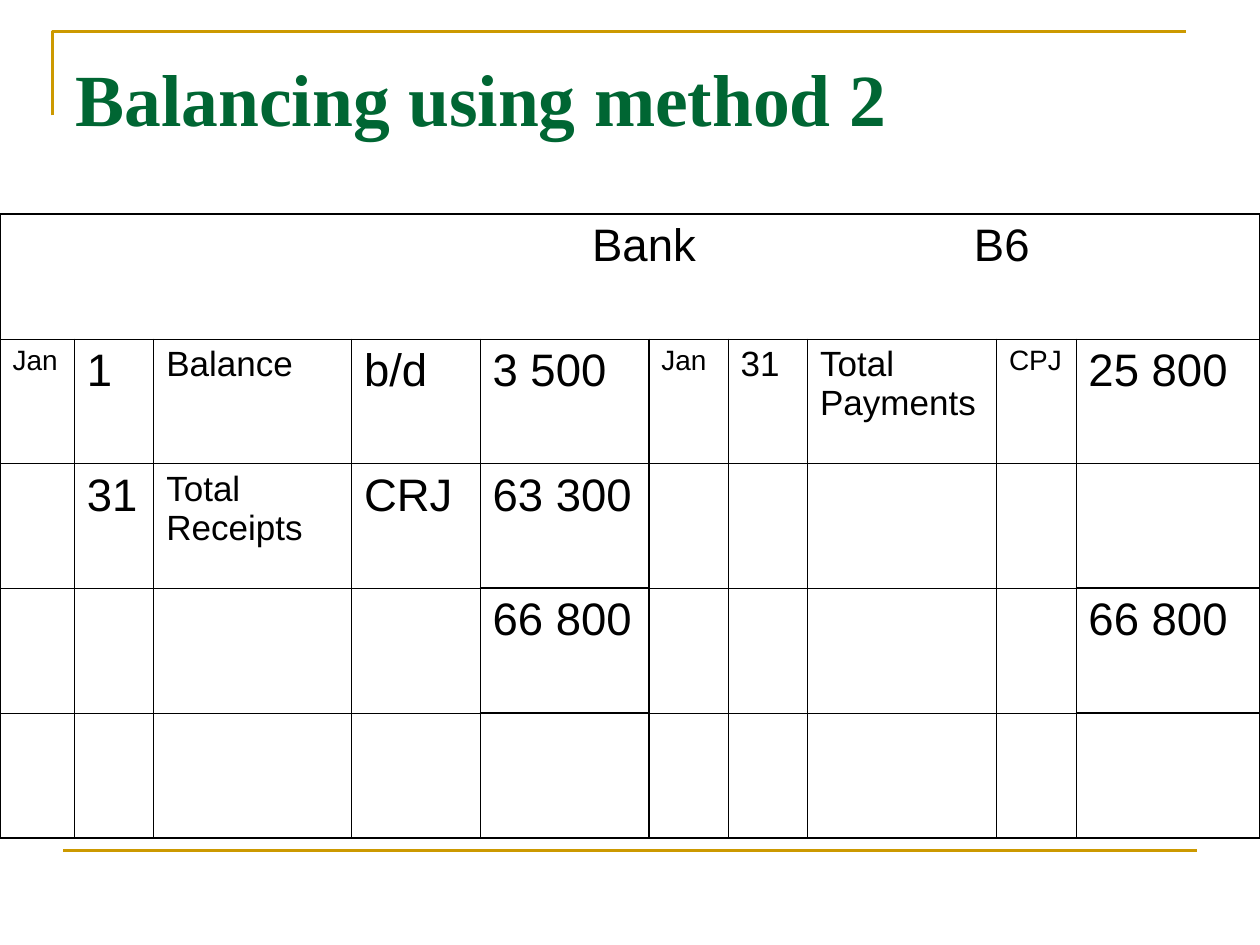
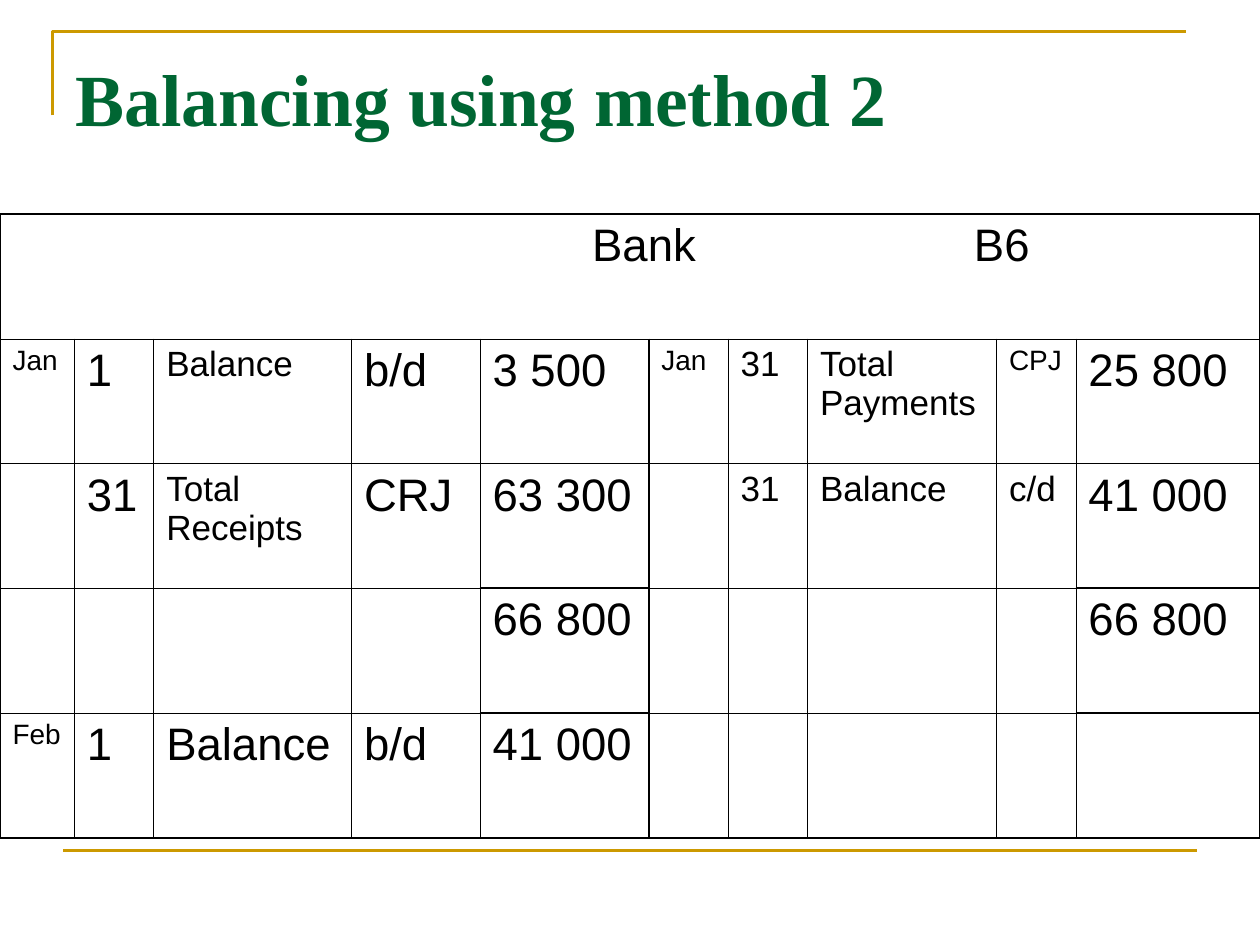
from lxml.etree import SubElement
from pptx import Presentation
from pptx.dml.color import RGBColor
from pptx.enum.shapes import MSO_CONNECTOR as Connector
from pptx.enum.text import MSO_ANCHOR as Anchor
from pptx.oxml.ns import qn
from pptx.util import Emu, Inches, Pt

# Grid: 120 columns by 90 rows over the whole slide
COLUMNS, ROWS = 120, 90
GOLD, GREEN, BLACK, WHITE = "CC9900", "006633", "000000", "FFFFFF"
SERIF, SANS = "Times New Roman", "Arial"
SMALL, MEDIUM, LARGE = 16, 20, 26
THIN, RULE, DIVIDER = 0.45, 1.08, 1.47

# Ledger layout: column shares in percent, debit side then credit side
COLUMN_SHARES = [5.9, 6.3, 15.7, 10.2, 13.4, 6.3, 6.3, 15, 6.3, 14.6]
ROW_COUNT = 5
AMOUNT_COLUMNS = (4, 9)
CREDIT_START = 5
TOTALS_ROW = 3
HEADING_TABS = (4.6, 7.63)


def color(hex_code):
    return RGBColor.from_string(hex_code)


def horizontal_weight(edge, column):
    """Weight of the line above row number `edge`."""
    if edge in (0, ROW_COUNT):
        return RULE
    is_total = edge in (TOTALS_ROW, TOTALS_ROW + 1) and column in AMOUNT_COLUMNS
    return RULE if is_total else THIN


def vertical_weight(edge):
    """Weight of the line left of column number `edge`."""
    if edge in (0, len(COLUMN_SHARES)):
        return RULE
    return DIVIDER if edge == CREDIT_START else THIN


class LedgerDeck:
    def __init__(self):
        self.deck = Presentation()
        self.deck.slide_width, self.deck.slide_height = Inches(10), Inches(7.5)
        self.slide = None

    def x(self, columns):
        return Emu(round(self.deck.slide_width * columns / COLUMNS))

    def y(self, rows):
        return Emu(round(self.deck.slide_height * rows / ROWS))

    def new_slide(self, title):
        self.slide = self.deck.slides.add_slide(self.deck.slide_layouts[5])
        self.frame()
        self.title(title)

    def frame(self):
        # Corner line at the top, straight line at the bottom
        shapes = self.slide.shapes
        builder = shapes.build_freeform(self.x(5), self.y(11), scale=1.0)
        builder.add_line_segments(
            [(self.x(5), self.y(3)), (self.x(113), self.y(3))], close=False)
        corner = builder.convert_to_shape()
        corner.fill.background()
        corner.shadow.inherit = False
        footer = shapes.add_connector(
            Connector.STRAIGHT, self.x(6), self.y(81), self.x(114), self.y(81))
        SubElement(footer._element.spPr, qn("a:effectLst"))
        for part in (corner, footer):
            part.line.color.rgb = color(GOLD)
            part.line.width = Pt(1.5)

    def run(self, paragraph, text, size, font=SANS, ink=BLACK, bold=False):
        run = paragraph.add_run()
        run.text = text
        run.font.size, run.font.name, run.font.bold = Pt(size), font, bold
        run.font.color.rgb = color(ink)

    def title(self, text):
        heading = self.slide.shapes.title
        heading.left, heading.top = self.x(6), self.y(3.6)
        heading.width, heading.height = self.x(108), self.y(15)
        frame = heading.text_frame
        frame.word_wrap = True
        frame.vertical_anchor = Anchor.TOP
        frame.margin_top = Inches(0.12)
        paragraph = frame.paragraphs[0]
        paragraph.alignment = 1
        self.run(paragraph, text, 42, SERIF, GREEN, True)

    def borders(self, cell, weights):
        properties = cell._tc.get_or_add_tcPr()
        for side, weight in zip("LRTB", weights):
            line = SubElement(properties, qn(f"a:ln{side}"), w=str(Pt(weight)))
            fill = SubElement(line, qn("a:solidFill"))
            SubElement(fill, qn("a:srgbClr"), val=BLACK)

    def ledger(self, heading, entries):
        width, height = self.x(120), self.y(59.4)
        table = self.slide.shapes.add_table(
            ROW_COUNT, len(COLUMN_SHARES), 0, self.y(20.4), width, height).table
        table.first_row = table.horz_banding = False
        for column, share in zip(table.columns, COLUMN_SHARES):
            column.width = Emu(round(width * share / 100))
        for row in table.rows:
            row.height = Emu(height // ROW_COUNT)
        last = len(COLUMN_SHARES) - 1
        table.cell(0, 0).merge(table.cell(0, last))

        for r in range(ROW_COUNT):
            for c in range(last + 1):
                cell = table.cell(r, c)
                if cell.is_spanned:
                    continue
                right_edge = last + 1 if cell.is_merge_origin else c + 1
                self.borders(cell, (vertical_weight(c), vertical_weight(right_edge),
                                    horizontal_weight(r, c),
                                    horizontal_weight(r + 1, c)))
                cell.fill.solid()
                cell.fill.fore_color.rgb = color(WHITE)
                if (r, c) in entries:
                    self.run(cell.text_frame.paragraphs[0], *entries[r, c])

        # Account name and folio sit on tab stops in the merged row
        paragraph = table.cell(0, 0).text_frame.paragraphs[0]
        stops = SubElement(paragraph._p.get_or_add_pPr(), qn("a:tabLst"))
        for stop, text in zip(HEADING_TABS, heading):
            SubElement(stops, qn("a:tab"), pos=str(Inches(stop)), algn="l")
            self.run(paragraph, "\t" + text, LARGE)

    def save(self):
        self.deck.save("out.pptx")


# Entries by (row, column): text and size
POSTED = {
    (1, 0): ("Jan", SMALL), (1, 1): ("1", LARGE), (1, 2): ("Balance", MEDIUM),
    (1, 3): ("b/d", LARGE), (1, 4): ("3 500", LARGE),
    (1, 5): ("Jan", SMALL), (1, 6): ("31", MEDIUM),
    (1, 7): ("Total Payments", MEDIUM), (1, 8): ("CPJ", SMALL),
    (1, 9): ("25 800", LARGE),
    (2, 1): ("31", LARGE), (2, 2): ("Total Receipts", MEDIUM),
    (2, 3): ("CRJ", LARGE), (2, 4): ("63 300", LARGE),
    (3, 4): ("66 800", LARGE), (3, 9): ("66 800", LARGE),
}
BALANCING = {
    (2, 6): ("31", MEDIUM), (2, 7): ("Balance", MEDIUM),
    (2, 8): ("c/d", MEDIUM), (2, 9): ("41 000", LARGE),
    (4, 0): ("Feb", SMALL), (4, 1): ("1", LARGE), (4, 2): ("Balance", LARGE),
    (4, 3): ("b/d", LARGE), (4, 4): ("41 000", LARGE),
}


def main():
    deck = LedgerDeck()
    # Totals first, then the balance carried down and brought down
    for entries in (POSTED, POSTED | BALANCING):
        deck.new_slide("Balancing using method 2")
        deck.ledger(("Bank", "B6"), entries)
    deck.save()


if __name__ == "__main__":
    main()
